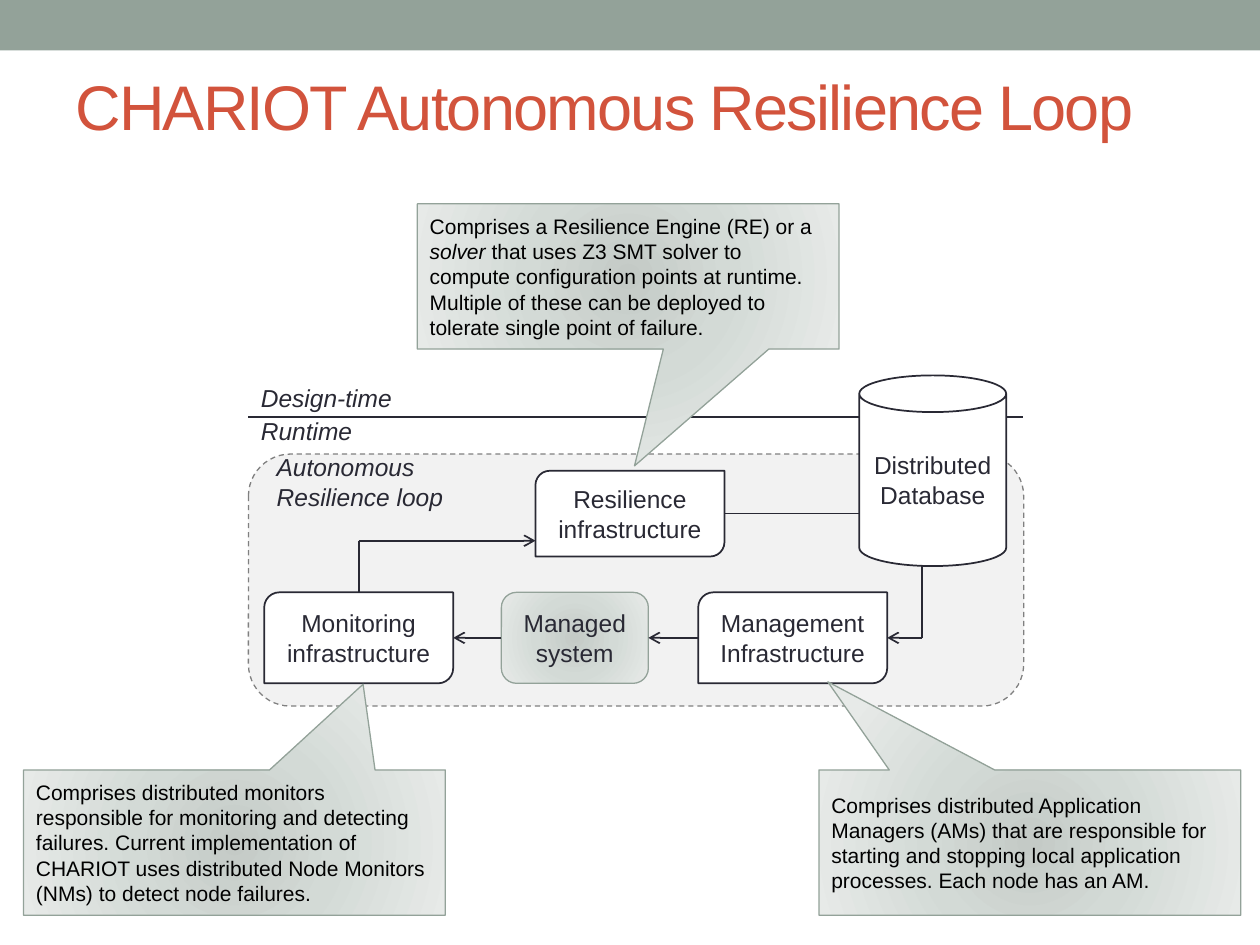
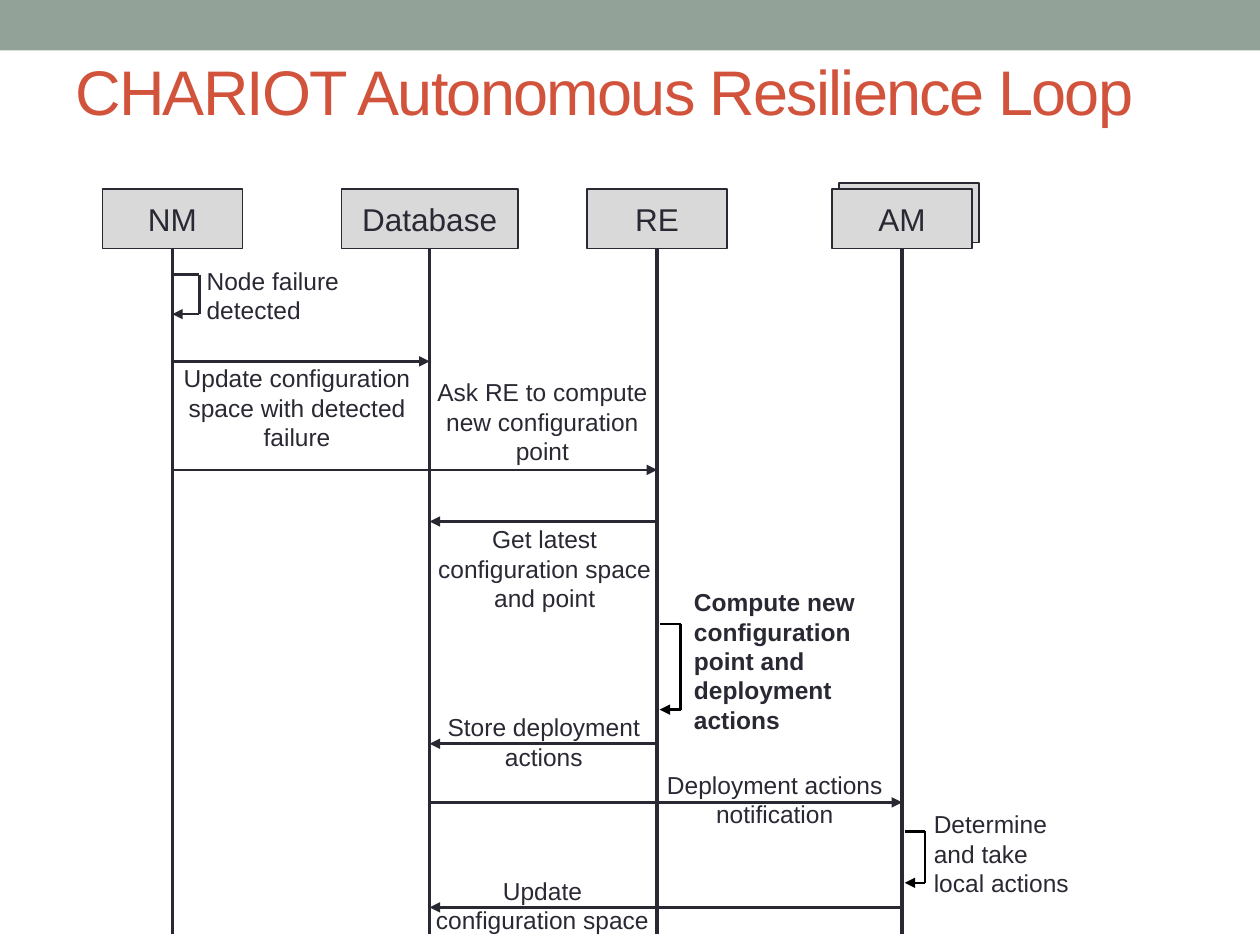
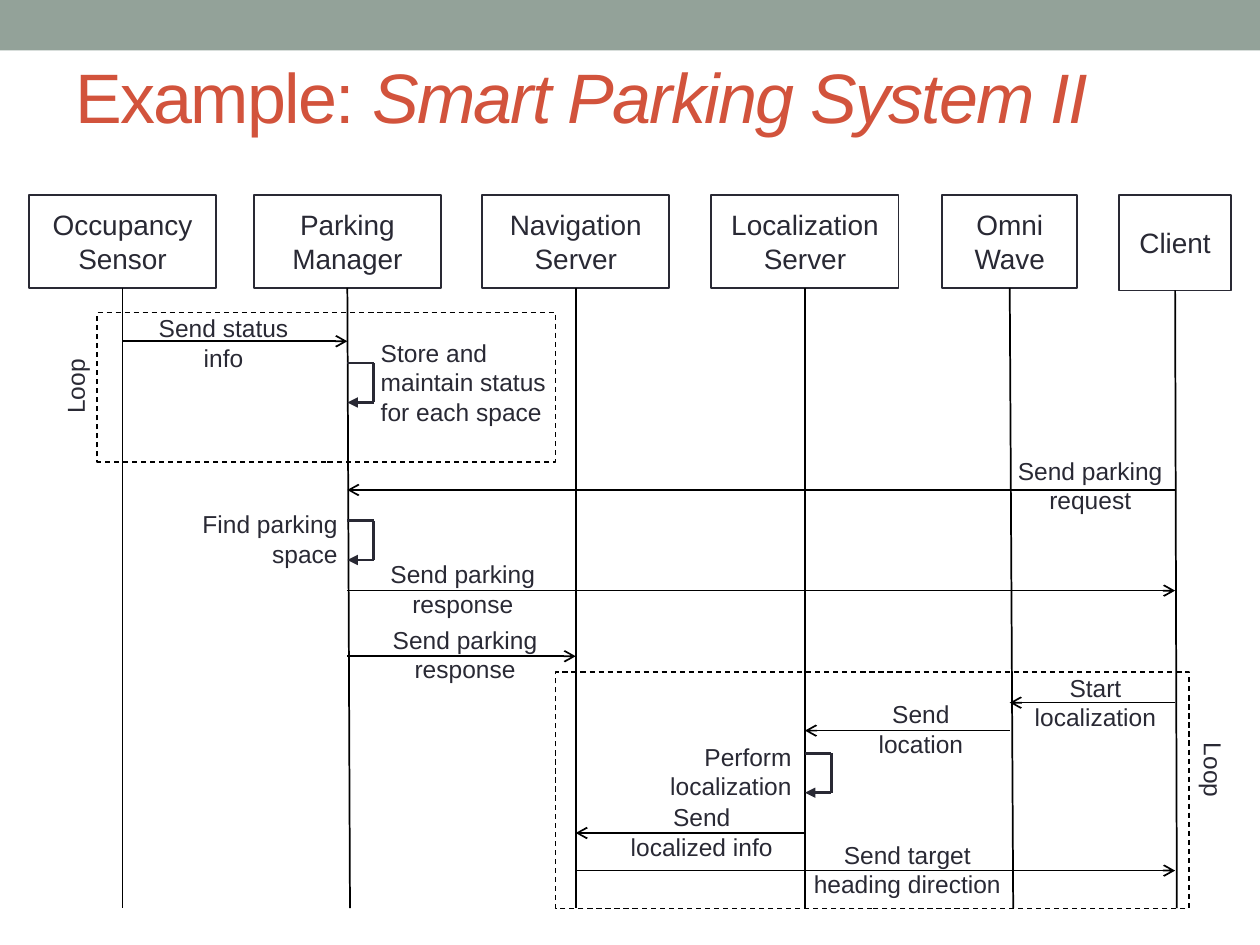
from itertools import pairwise

from lxml.etree import SubElement
from pptx import Presentation
from pptx.dml.color import RGBColor
from pptx.enum.dml import MSO_LINE
from pptx.enum.shapes import MSO_CONNECTOR, MSO_SHAPE
from pptx.enum.text import MSO_ANCHOR, PP_ALIGN
from pptx.oxml import parse_xml
from pptx.oxml.ns import nsdecls, qn
from pptx.util import Pt

FONT = "Arial"
SAGE = RGBColor(0x93, 0xA2, 0x99)
RUST = RGBColor(0xD2, 0x53, 0x3C)
INK = RGBColor(0x29, 0x29, 0x34)
BLACK = RGBColor(0x00, 0x00, 0x00)
WHITE = RGBColor(0xFF, 0xFF, 0xFF)
PALE = RGBColor(0xF2, 0xF2, 0xF2)
SILVER = RGBColor(0xD9, 0xD9, 0xD9)
GRAY = RGBColor(0x80, 0x80, 0x80)
GLOW = (
    f'<a:gradFill {nsdecls("a")} rotWithShape="1"><a:gsLst>'
    '<a:gs pos="0"><a:srgbClr val="C4CAC6"/></a:gs>'
    '<a:gs pos="45000"><a:srgbClr val="D3DAD6"/></a:gs>'
    '<a:gs pos="100000"><a:srgbClr val="E7EAE8"/></a:gs></a:gsLst>'
    '<a:path path="circle"><a:fillToRect l="100000" t="100000" r="100000" b="100000"/></a:path>'
    "</a:gradFill>"
)
LEFT, CENTER, RIGHT = PP_ALIGN.LEFT, PP_ALIGN.CENTER, PP_ALIGN.RIGHT


def add_box(page, at, text="", kind=None, fill=None, line=None, width=1, dashed=False,
            size=14, color=INK, align=CENTER, bold=False, italic=False):
    """Add a preset shape, or a text box when kind is None; |bars| enclose italic words."""
    place = [Pt(value) for value in at]
    if kind is None:
        box = page.shapes.add_textbox(*place)
    else:
        box = page.shapes.add_shape(kind, *place)
        box.shadow.inherit = False
        if fill is None:
            box.fill.background()
        elif fill == GLOW:
            box.fill.gradient()
            gradient = box._element.spPr.find(qn("a:gradFill"))
            gradient.getparent().replace(gradient, parse_xml(GLOW))
        else:
            box.fill.solid()
            box.fill.fore_color.rgb = fill
        if line is None:
            box.line.fill.background()
        else:
            box.line.color.rgb = line
            box.line.width = Pt(width)
        if dashed:
            box.line.dash_style = MSO_LINE.DASH
    frame = box.text_frame
    frame.word_wrap = True
    frame.vertical_anchor = MSO_ANCHOR.TOP if kind is None else MSO_ANCHOR.MIDDLE
    frame.text = text
    for para in frame.paragraphs:
        para.alignment = align
        pieces = para.text.split("|")
        para.clear()
        for index, piece in enumerate(pieces):
            if piece:
                span = para.add_run()
                span.text = piece
                span.font.name = FONT
                span.font.size = Pt(size)
                span.font.color.rgb = color
                span.font.bold = bold
                span.font.italic = italic or index % 2 == 1
    return box


def add_path(page, points, color=INK, width=1, arrow=None):
    """Join the points with straight connectors; the arrowhead sits at the last point."""
    for start, end in pairwise(points):
        ends = [Pt(value) for value in (*start, *end)]
        connector = page.shapes.add_connector(MSO_CONNECTOR.STRAIGHT, *ends)
        connector.line.color.rgb = color
        connector.line.width = Pt(width)
        if arrow and end == points[-1]:
            SubElement(connector.line._get_or_add_ln(), qn("a:tailEnd"), type=arrow)
        SubElement(connector._element.spPr, qn("a:effectLst"))


deck = Presentation()
deck.slide_width, deck.slide_height = Pt(720), Pt(540)

pages = []
for title, top, height, size in [
    ("CHARIOT Autonomous Resilience Loop", 15, 90, 36),
    ("CHARIOT Autonomous Resilience Loop", 17.5, 68.5, 36),
    ("Example: |Smart Parking System II|", 16, 77.5, 40),
]:
    page = deck.slides.add_slide(deck.slide_layouts[6])
    add_box(page, (0, 0, 720, 28.8), kind=MSO_SHAPE.RECTANGLE, fill=SAGE)
    heading = add_box(page, (36, top, 648, height), title, size=size, color=RUST, align=LEFT)
    heading.text_frame.vertical_anchor = MSO_ANCHOR.MIDDLE
    for span in heading.text_frame.paragraphs[0].runs:
        span.font._element.set("spc", "-100")
    pages.append(page)
loop_page, resilience_page, parking_page = pages

# Resilience loop
add_box(loop_page, (142, 259.5, 443, 144), kind=MSO_SHAPE.ROUNDED_RECTANGLE,
        fill=PALE, line=GRAY, width=0.75, dashed=True)
for left, top, height, name in [
    (399, 338.5, 52, "Management\nInfrastructure"),
    (151, 338.5, 52, "Monitoring\ninfrastructure"),
    (306, 269, 49, "Resilience\ninfrastructure"),
]:
    add_box(loop_page, (left, top, 108, height), name,
            MSO_SHAPE.ROUND_2_DIAG_RECTANGLE, WHITE, INK)
add_box(loop_page, (286.5, 338.5, 84, 52), "Managed\nsystem",
        MSO_SHAPE.ROUNDED_RECTANGLE, GLOW, SAGE, 0.75)
add_path(loop_page, [(142, 238.5), (584.5, 238.5)])
add_box(loop_page, (491, 214.5, 84, 109), "Distributed\nDatabase", MSO_SHAPE.CAN, WHITE, INK)
for points in [
    [(527, 323.5), (527, 364.5), (507, 364.5)],
    [(399, 364.5), (370.5, 364.5)],
    [(286.5, 364.5), (259, 364.5)],
    [(205, 338.5), (205, 309), (306, 309)],
]:
    add_path(loop_page, points, arrow="arrow")
add_path(loop_page, [(491, 293.5), (414, 293.5)])
for at, label in [
    ((142, 215.5, 102, 24.5), "Design-time"),
    ((142, 234, 102, 24.5), "Runtime"),
    ((151, 255, 120, 41), "Autonomous\nResilience loop"),
]:
    add_box(loop_page, at, label, align=LEFT, italic=True)
for left, top, tip, text in [
    (468, 440, (-0.479, -1.107),
     "Comprises distributed Application Managers (AMs) that are responsible for "
     "starting and stopping local application processes. Each node has an AM."),
    (13.5, 440, (0.305, -1.09),
     "Comprises distributed monitors responsible for monitoring and detecting failures. "
     "Current implementation of CHARIOT uses distributed Node Monitors (NMs) "
     "to detect node failures."),
    (238.5, 116.5, (0.015, 1.304),
     "Comprises a Resilience Engine (RE) or a |solver| that uses Z3 SMT solver to compute "
     "configuration points at runtime. Multiple of these can be deployed to tolerate "
     "single point of failure."),
]:
    callout = add_box(loop_page, (left, top, 241, 83), text, MSO_SHAPE.RECTANGULAR_CALLOUT,
                      GLOW, SAGE, 0.75, size=12, color=BLACK, align=LEFT)
    callout.adjustments[0], callout.adjustments[1] = tip

# Resilience sequence
NM, DATABASE, RE, AM = 98.5, 245.5, 375.5, 515.5
add_box(resilience_page, (479.5, 104.5, 80, 34), kind=MSO_SHAPE.RECTANGLE,
        fill=SILVER, line=INK, width=0.75)
for middle, width, name in [
    (NM, 80, "NM"), (DATABASE, 101, "Database"), (RE, 80, "RE"), (AM, 80, "AM"),
]:
    add_box(resilience_page, (middle - width / 2, 108, width, 34), name,
            MSO_SHAPE.RECTANGLE, SILVER, INK, 0.75, size=18)
    add_path(resilience_page, [(middle, 142), (middle, 533.5)], width=2.08)
for start, end, y in [
    (NM, DATABASE, 206.5), (NM, RE, 268.5), (RE, DATABASE, 298),
    (RE, DATABASE, 425), (DATABASE, AM, 458.5), (AM, DATABASE, 518.5),
]:
    add_path(resilience_page, [(start, y), (end, y)], width=1.5, arrow="triangle")
for near, far, top, bottom, color in [
    (NM, 114, 157, 179.5, INK),
    (RE + 1.5, 389, 356.5, 405.5, BLACK),
    (AM + 1.5, 528.5, 475, 504.5, BLACK),
]:
    add_path(resilience_page, [(near, top), (far, top), (far, bottom), (near, bottom)],
             color, 1.5, "triangle")
for at, label, align in [
    ((111, 148.5, 96.5, 41), "Node failure detected", LEFT),
    ((96, 204, 147.5, 58.5), "Update configuration space with detected failure", CENTER),
    ((240.5, 212, 139, 58.5), "Ask RE to compute new configuration point", CENTER),
    ((237.5, 296, 147.5, 54), "Get latest configuration space and point", CENTER),
    ((237, 403.5, 147.5, 38), "Store deployment actions", CENTER),
    ((373.5, 436.5, 138.5, 41), "Deployment actions notification", CENTER),
    ((526.5, 459, 98, 58.5), "Determine and take local actions", LEFT),
    ((234, 497, 152, 41), "Update\nconfiguration space", CENTER),
]:
    add_box(resilience_page, at, label, align=align)
add_box(resilience_page, (389.5, 332, 122.5, 92),
        "Compute new configuration point and deployment actions", align=LEFT, bold=True)

# Parking sequence
SENSOR, MANAGER, NAVIGATION, LOCALIZATION, WAVE, CLIENT = 70, 198.5, 329, 460, 577, 671.5
for middle, foot, width, height, name in [
    (SENSOR, SENSOR, 107, 53, "Occupancy\nSensor"),
    (MANAGER, 200, 107, 53, "Parking\nManager"),
    (NAVIGATION, NAVIGATION, 107, 53, "Navigation\nServer"),
    (LOCALIZATION, LOCALIZATION, 107, 53, "Localization\nServer"),
    (WAVE, 579, 77, 53, "Omni\nWave"),
    (CLIENT, 672.5, 64, 54.5, "Client"),
]:
    add_box(parking_page, (middle - width / 2, 111.5, width, height), name,
            MSO_SHAPE.RECTANGLE, WHITE, INK, size=16)
    add_path(parking_page, [(middle, 111.5 + height), (foot, 519)], BLACK)
for at in [(55.5, 178.5, 262, 85.5), (317.5, 384, 362, 135)]:
    add_box(parking_page, at, kind=MSO_SHAPE.RECTANGLE, line=BLACK, width=0.75, dashed=True)
for start, end, y in [
    (SENSOR, MANAGER, 195), (CLIENT, MANAGER, 280), (MANAGER, CLIENT, 337.5),
    (MANAGER, NAVIGATION, 375), (CLIENT, WAVE, 401.5), (WAVE, LOCALIZATION, 417.5),
    (LOCALIZATION, NAVIGATION, 476), (NAVIGATION, CLIENT, 497.5),
]:
    add_path(parking_page, [(start, y), (end, y)], BLACK, arrow="arrow")
for near, top in [(MANAGER, 207.5), (MANAGER, 297.5), (LOCALIZATION, 430.5)]:
    far, bottom = near + 15, top + 22.5
    add_path(parking_page, [(near, top), (far, top), (far, bottom), (near, bottom)],
             width=1.5, arrow="triangle")
for left, top, width, label, align in [
    (210.5, 189.5, 119, "Store and maintain status for each space", LEFT),
    (78.5, 175.5, 98.5, "Send status info", CENTER),
    (570, 257, 106, "Send parking\nrequest", CENTER),
    (98.5, 287.5, 101.5, "Find parking space", RIGHT),
    (211.5, 316, 106, "Send parking\nresponse", CENTER),
    (213.5, 353.5, 104.5, "Send parking\nresponse", CENTER),
    (579, 381, 94, "Start\nlocalization", CENTER),
    (486, 396, 80.5, "Send\nlocation", CENTER),
    (358, 420.5, 101.5, "Perform localization", RIGHT),
    (349, 455, 104, "Send\nlocalized info", CENTER),
    (455.5, 476.5, 126, "Send target\nheading direction", CENTER),
]:
    add_box(parking_page, (left, top, width, 41), label, align=align)
for left, top, angle in [(18, 206, 270), (668, 430.5, 90)]:
    add_box(parking_page, (left, top, 50.5, 24.5), "Loop", align=LEFT).rotation = angle

deck.save("out.pptx")
